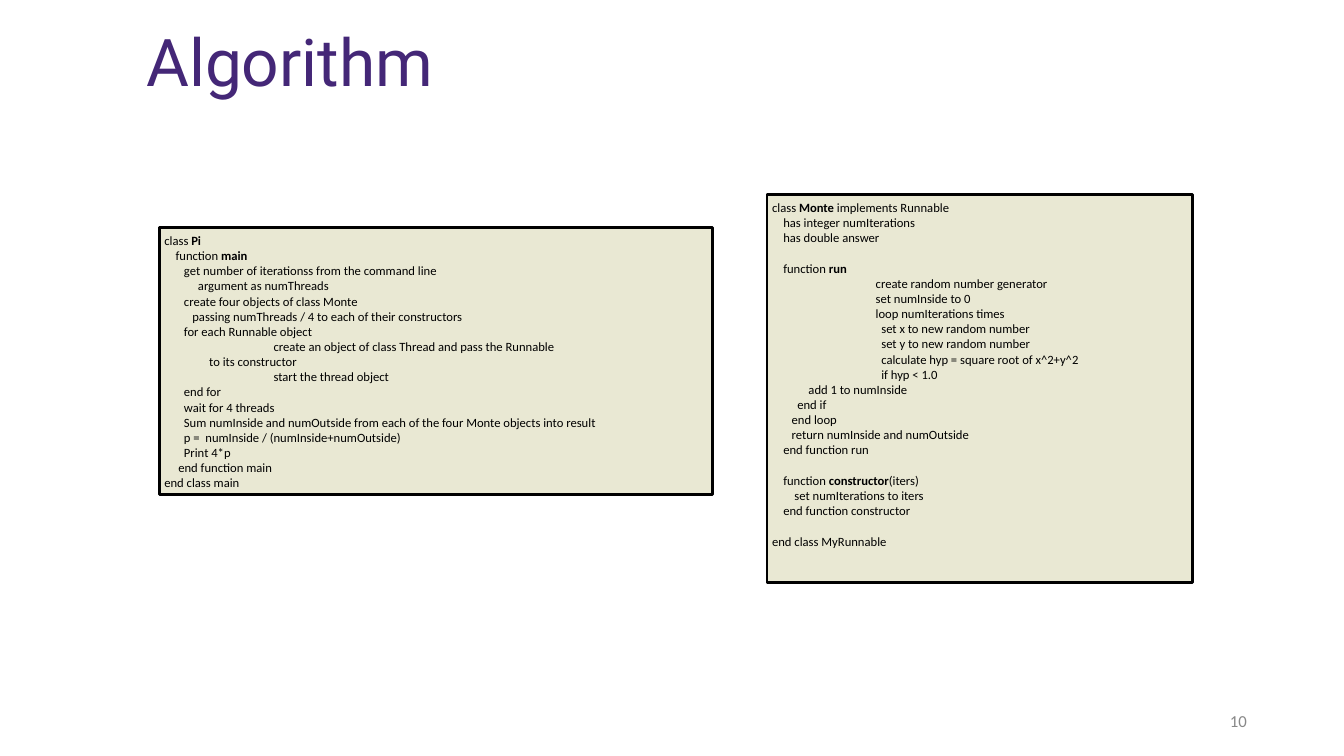
from dataclasses import dataclass

from pptx import Presentation
from pptx.dml.color import RGBColor
from pptx.enum.shapes import MSO_SHAPE
from pptx.enum.text import MSO_ANCHOR, PP_ALIGN
from pptx.util import Pt

PURPLE = RGBColor(0x44, 0x27, 0x77)
GREY = RGBColor(0x88, 0x88, 0x88)
BEIGE = RGBColor(0xE9, 0xE8, 0xD3)
BLACK = RGBColor(0, 0, 0)
INSET = 3.6
CODE_SIZE = 9
BLANK_LINE = 11


@dataclass
class CodeLine:
    indent: int  # points
    text: str
    bold: str = ""
    tail: str = ""
    gap_before: bool = False


@dataclass
class CodePanel:
    left: float
    top: float
    width: float
    height: float
    lines: list[CodeLine]


@dataclass
class Label:
    left: float
    top: float
    width: float
    height: float
    text: str
    font: str
    size: int
    color: RGBColor
    align: PP_ALIGN = PP_ALIGN.LEFT
    spacing: float = 1.0


LABELS = [
    Label(100.8, 0, 859, 92.9, "Algorithm", "Roboto", 47, PURPLE, spacing=0.9),
    Label(873.4, 504, 20.9, 22.4, "10", "Calibri", 12, GREY, PP_ALIGN.RIGHT),
]

PANELS = [
    CodePanel(113.8, 162.7, 395.3, 190.8, [
        CodeLine(0, "class ", "Pi"),
        CodeLine(8, "function ", "main"),
        CodeLine(14, "get number of iterationss from the command line"),
        CodeLine(24, "argument as numThreads"),
        CodeLine(14, "create four objects of class Monte"),
        CodeLine(20, "passing numThreads / 4 to each of their constructors"),
        CodeLine(14, "for each Runnable object"),
        CodeLine(78, "create an object of class Thread and pass the Runnable"),
        CodeLine(32, "to its constructor"),
        CodeLine(78, "start the thread object"),
        CodeLine(14, "end for"),
        CodeLine(14, "wait for 4 threads"),
        CodeLine(14, "Sum numInside and numOutside from each of the four Monte objects into result"),
        CodeLine(14, "p =  numInside / (numInside+numOutside)"),
        CodeLine(14, "Print 4*p"),
        CodeLine(10, "end function main"),
        CodeLine(0, "end class main"),
    ]),
    CodePanel(547.9, 139, 303.8, 277.2, [
        CodeLine(0, "class ", "Monte", " implements Runnable"),
        CodeLine(8, "has integer numIterations"),
        CodeLine(8, "has double answer"),
        CodeLine(8, "function ", "run", gap_before=True),
        CodeLine(74, "create random number generator"),
        CodeLine(74, "set numInside to 0"),
        CodeLine(74, "loop numIterations times"),
        CodeLine(78, "set x to new random number"),
        CodeLine(78, "set y to new random number"),
        CodeLine(78, "calculate hyp = square root of x^2+y^2"),
        CodeLine(78, "if hyp < 1.0"),
        CodeLine(26, "add 1 to numInside"),
        CodeLine(18, "end if"),
        CodeLine(14, "end loop"),
        CodeLine(14, "return numInside and numOutside"),
        CodeLine(8, "end function run"),
        CodeLine(8, "function ", "constructor", "(iters)", gap_before=True),
        CodeLine(16, "set numIterations to iters"),
        CodeLine(8, "end function constructor"),
        CodeLine(0, "end class MyRunnable", gap_before=True),
    ]),
]


def prepare_frame(frame, anchor: MSO_ANCHOR) -> None:
    frame.word_wrap = True
    frame.vertical_anchor = anchor
    frame.margin_left = frame.margin_right = Pt(INSET)
    frame.margin_top = frame.margin_bottom = Pt(INSET)


def style_font(font, name: str, size: int, color: RGBColor) -> None:
    font.name = name
    font.size = Pt(size)
    font.color.rgb = color


def draw_label(page, label: Label) -> None:
    box = page.shapes.add_textbox(
        Pt(label.left), Pt(label.top), Pt(label.width), Pt(label.height))
    prepare_frame(box.text_frame, MSO_ANCHOR.MIDDLE)
    para = box.text_frame.paragraphs[0]
    para.text = label.text
    para.alignment = label.align
    para.line_spacing = label.spacing
    style_font(para.font, label.font, label.size, label.color)


def write_line(para, line: CodeLine) -> None:
    para.alignment = PP_ALIGN.LEFT
    style_font(para.font, "Calibri", CODE_SIZE, BLACK)
    # Left indent has no public property
    properties = para._p.get_or_add_pPr()
    properties.set("marL", str(Pt(line.indent)))
    properties.set("indent", "0")
    if line.gap_before:
        para.space_before = Pt(BLANK_LINE)
    for text, bold in ((line.text, False), (line.bold, True), (line.tail, False)):
        if text:
            span = para.add_run()
            span.text = text
            if bold:
                span.font.bold = True


def draw_panel(page, panel: CodePanel) -> None:
    box = page.shapes.add_shape(
        MSO_SHAPE.RECTANGLE,
        Pt(panel.left), Pt(panel.top), Pt(panel.width), Pt(panel.height))
    box.shadow.inherit = False
    box.fill.solid()
    box.fill.fore_color.rgb = BEIGE
    box.line.color.rgb = BLACK
    box.line.width = Pt(2)
    frame = box.text_frame
    prepare_frame(frame, MSO_ANCHOR.TOP)
    for number, line in enumerate(panel.lines):
        para = frame.add_paragraph() if number else frame.paragraphs[0]
        write_line(para, line)


def main() -> None:
    deck = Presentation()
    deck.slide_width, deck.slide_height = Pt(960), Pt(540)
    page = deck.slides.add_slide(deck.slide_layouts[6])

    # Title and page number
    for label in LABELS:
        draw_label(page, label)

    # Pseudocode panels
    for panel in PANELS:
        draw_panel(page, panel)

    deck.save("out.pptx")


if __name__ == "__main__":
    main()
